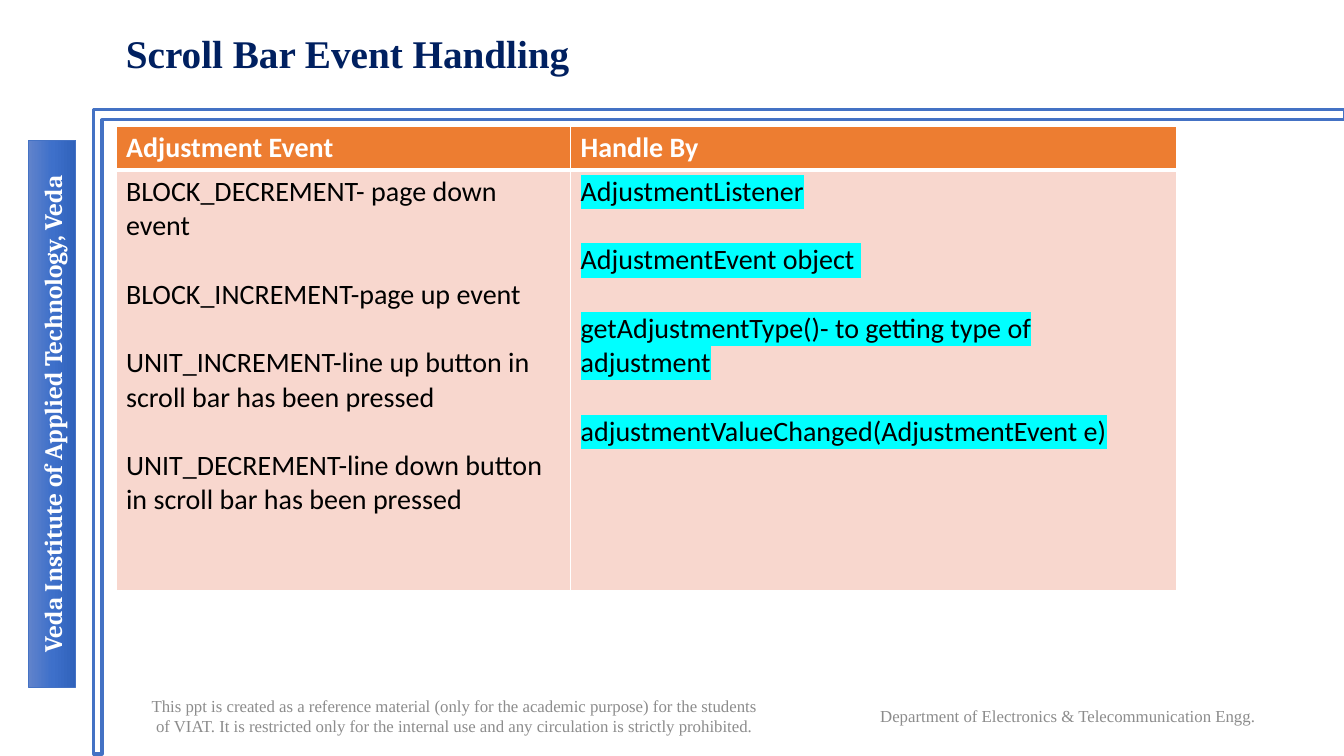
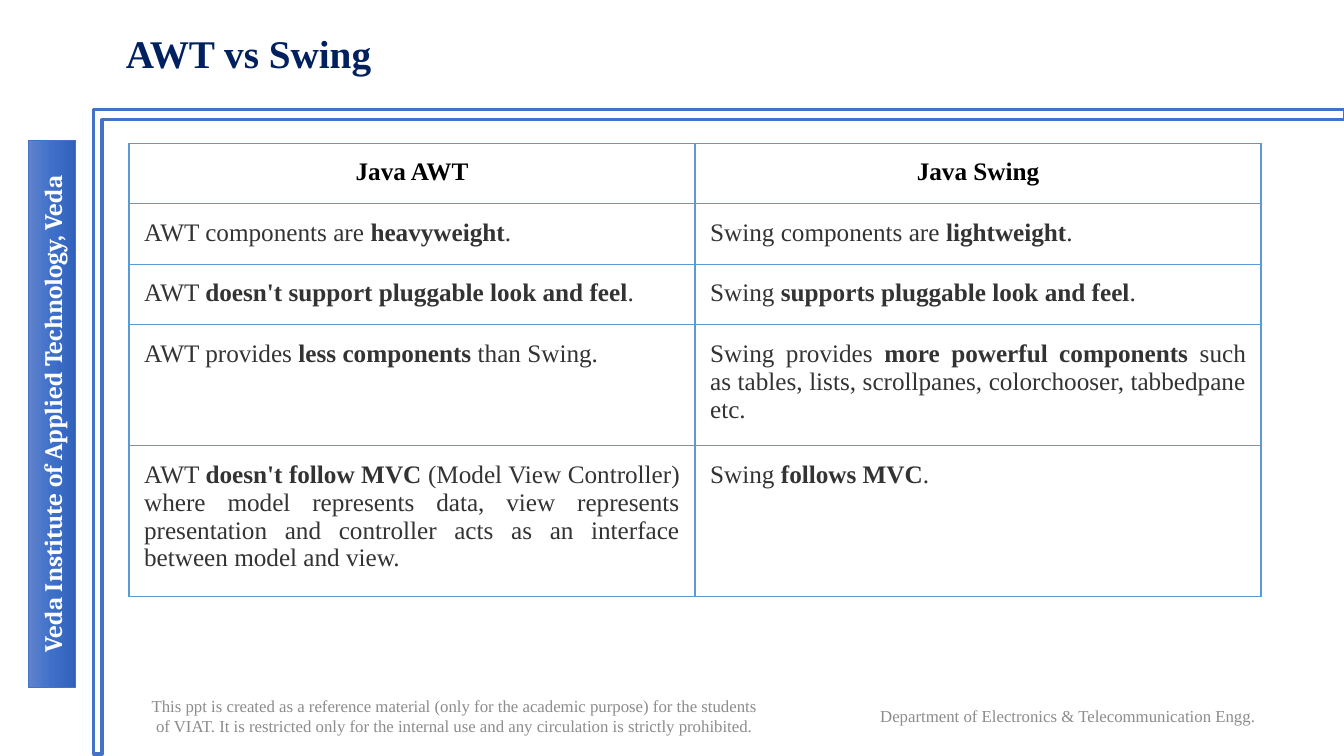
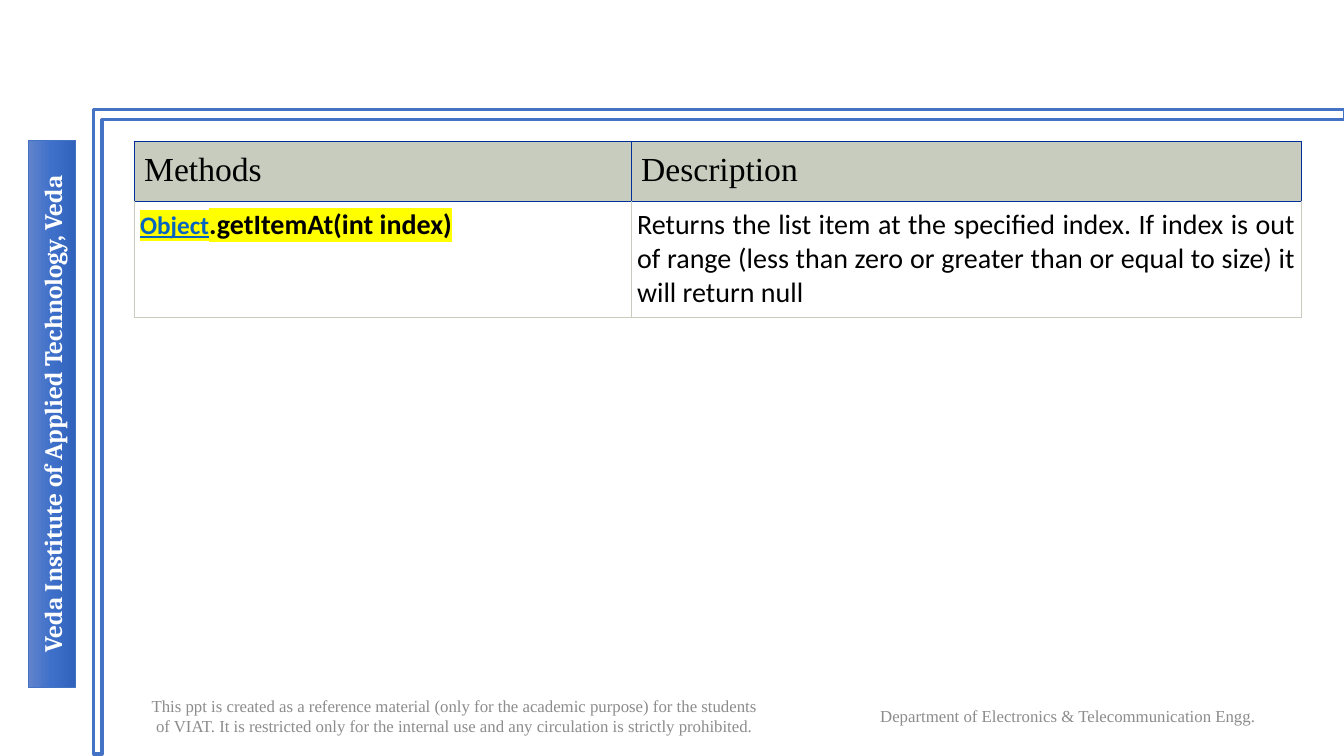
from copy import deepcopy
from dataclasses import dataclass, field
from typing import Any

from lxml.etree import SubElement
from pptx import Presentation
from pptx.dml.color import RGBColor as Rgb
from pptx.enum.shapes import MSO_SHAPE as Preset
from pptx.enum.text import MSO_ANCHOR as Anchor, PP_ALIGN as Align
from pptx.oxml.ns import qn
from pptx.util import Inches, Pt

WIDTH, HEIGHT = Inches(13.33), Inches(7.5)
COLOURS = {
    "white": "FFFFFF", "black": "000000", "blue": "4472C4", "navy": "002060",
    "bar_light": "6183CB", "bar_middle": "3E70CA", "bar_dark": "3062BB",
    "footer": "8C8C8C", "orange": "ED7D31", "peach": "F8D7CE", "cyan": "00FFFF",
    "sky": "5B9BD5", "charcoal": "333333", "royal": "002F98", "sage": "C7CCBE",
    "link": "0563C1", "yellow": "FFFF00",
}
SERIF, SANS = "Times New Roman", "Calibri"
SIDES = ("lnL", "lnR", "lnT", "lnB")
Format = dict[str, Any]


@dataclass(frozen=True)
class Box:
    """Left, top, width and height in percent of the slide."""
    left: float
    top: float
    width: float
    height: float

    def frame(self, turned: bool = False) -> tuple[int, int, int, int]:
        left, width = (int(WIDTH * share / 100) for share in (self.left, self.width))
        top, height = (int(HEIGHT * share / 100) for share in (self.top, self.height))
        if turned:
            shift = (width - height) // 2
            return left + shift, top - shift, height, width
        return left, top, width, height


@dataclass(frozen=True)
class Span:
    text: str
    style: Format = field(default_factory=dict)


@dataclass(frozen=True)
class Label:
    box: Box
    text: str
    font: Format
    layout: Format


@dataclass(frozen=True)
class RowStyle:
    font: Format
    borders: tuple[tuple[str, float], ...]
    fill: str | None = None
    layout: Format = field(default_factory=dict)
    margins: tuple[float, float] = (0.1, 0.05)
    gap: float = 0


@dataclass(frozen=True)
class Row:
    height: float
    style: RowStyle
    cells: tuple[list[list[Span]], ...]


@dataclass(frozen=True)
class Grid:
    left: float
    top: float
    width: float
    first_column: float
    rows: list[Row]


@dataclass(frozen=True)
class Page:
    title: str | None
    grid: Grid


def colour(name: str) -> Rgb:
    return Rgb.from_string(COLOURS[name])


def assign(target: Any, values: Format) -> None:
    for name, value in values.items():
        setattr(target, name, value)


def write(para: Any, spans: list[Span], base: Format, layout: Format) -> None:
    assign(para, layout)
    for span in spans:
        style = base | span.style
        ink, marker = style.pop("ink"), style.pop("marker", None)
        run = para.add_run()
        run.text = span.text
        assign(run.font, style)
        run.font.color.rgb = colour(ink)
        if marker:
            solid = run.font.fill._xPr.find(qn("a:solidFill"))
            highlight = deepcopy(solid)
            highlight.tag = qn("a:highlight")
            highlight[0].set("val", COLOURS[marker])
            solid.addnext(highlight)


def add_label(page: Any, label: Label) -> None:
    text = page.shapes.add_textbox(*label.box.frame()).text_frame
    assign(text, {"word_wrap": True, "vertical_anchor": Anchor.MIDDLE})
    write(text.paragraphs[0], [Span(label.text)], label.font, label.layout)


def add_turned(page: Any, preset: Preset, box: Box, angle: int, line: float) -> Any:
    shape = page.shapes.add_shape(preset, *box.frame(turned=True))
    shape.rotation = angle
    shape.shadow.inherit = False
    shape.line.color.rgb = colour("blue")
    shape.line.width = Pt(line)
    return shape


def add_rails(page: Any) -> None:
    box = Box(6.98, 14.53, 93.08, 85.2)
    rails = add_turned(page, Preset.CORNER, box, 90, 2.25)
    rails.fill.solid()
    rails.fill.fore_color.rgb = colour("white")
    short_side = box.frame()[3]
    for index, thickness in enumerate((0.08, 0.1)):
        rails.adjustments[index] = Inches(thickness) / short_side


def add_side_bar(page: Any) -> None:
    bar = add_turned(page, Preset.RECTANGLE, Box(2.1, 18.53, 3.53, 72.4), 270, 0.5)
    bar.fill.gradient()
    bar.fill.gradient_angle = 270
    first = bar.fill.gradient_stops[0]._gs
    first.addnext(deepcopy(first))
    names = ("bar_light", "bar_middle", "bar_dark")
    for index, (stop, name) in enumerate(zip(bar.fill.gradient_stops, names)):
        stop.position = index / 2
        stop.color.rgb = colour(name)
    text = bar.text_frame
    text.vertical_anchor = Anchor.MIDDLE
    font = {"size": Pt(18), "name": "Cambria", "bold": True, "ink": "white"}
    write(text.paragraphs[0], [Span("Veda Institute of Applied Technology, Veda")],
          font, CENTRED)


def add_borders(cell: Any, borders: tuple[tuple[str, float], ...]) -> None:
    properties = cell._tc.get_or_add_tcPr()
    for side, (name, width) in zip(SIDES, borders):
        line = SubElement(properties, qn(f"a:{side}"), w=str(int(Pt(width))))
        solid = SubElement(line, qn("a:solidFill"))
        SubElement(solid, qn("a:srgbClr"), val=COLOURS[name])


def fill_cell(cell: Any, paras: list[list[Span]], style: RowStyle) -> None:
    across, down = (Inches(margin) for margin in style.margins)
    assign(cell, {"margin_left": across, "margin_right": across,
                  "margin_top": down, "margin_bottom": down})
    add_borders(cell, style.borders)
    if style.fill:
        cell.fill.solid()
        cell.fill.fore_color.rgb = colour(style.fill)
    else:
        cell.fill.background()
    text = cell.text_frame
    for index, spans in enumerate(paras):
        para = text.add_paragraph() if index else text.paragraphs[0]
        layout = style.layout | ({"space_before": Pt(style.gap)} if index else {})
        write(para, spans, style.font, layout)


def add_grid(page: Any, grid: Grid) -> None:
    total = sum(row.height for row in grid.rows)
    box = Box(grid.left, grid.top, grid.width, total)
    table = page.shapes.add_table(len(grid.rows), 2, *box.frame()).table
    assign(table, {"first_row": False, "horz_banding": False})
    for column, share in zip(table.columns, (grid.first_column, 100 - grid.first_column)):
        column.width = int(box.frame()[2] * share / 100)
    for index, row in enumerate(grid.rows):
        table.rows[index].height = int(HEIGHT * row.height / 100)
        for column, paras in enumerate(row.cells):
            fill_cell(table.cell(index, column), paras, row.style)


def plain(*texts: str) -> list[list[Span]]:
    return [[Span(text)] for text in texts]


def marked(text: str) -> list[list[Span]]:
    return [[Span(part, {"bold": index % 2 == 1})
             for index, part in enumerate(text.split("*"))]]


TITLE_BOX = Box(8.63, 3.2, 84.23, 8.27)
TITLE_FONT = {"size": Pt(28), "name": SERIF, "bold": True, "ink": "navy"}
FOOTER_FONT = {"size": Pt(12), "name": SERIF, "ink": "footer"}
CENTRED, JUSTIFIED = {"alignment": Align.CENTER}, {"alignment": Align.JUSTIFY}
FOOTERS = [
    Label(Box(9.98, 90.93, 47.7, 7.6),
          "This ppt is created as a reference material (only for the academic purpose) "
          "for the students of VIAT. It is restricted only for the internal use and any "
          "circulation is strictly prohibited.", FOOTER_FONT, CENTRED),
    Label(Box(60.75, 92.27, 37.73, 4.8),
          "Department of Electronics & Telecommunication Engg. ", FOOTER_FONT, CENTRED),
]

THIN, THICK = ("white", 1), ("white", 3)
EVENT_FONT = {"size": Pt(20), "name": SANS, "bold": False, "ink": "black"}
EVENT_HEAD = RowStyle(EVENT_FONT | {"bold": True, "ink": "white"},
                      (THIN, THIN, THIN, THICK), "orange")
EVENT_BODY = RowStyle(EVENT_FONT, (THIN, THIN, THICK, THIN), "peach", gap=24.4)
HANDLERS = ("AdjustmentListener", "AdjustmentEvent object ",
            "getAdjustmentType()- to getting type of adjustment",
            "adjustmentValueChanged(AdjustmentEvent e)")
EVENTS = Grid(8.63, 16.67, 78.9, 42.87, [
    Row(5.73, EVENT_HEAD, (plain("Adjustment Event"), plain("Handle By"))),
    Row(55.73, EVENT_BODY, (
        plain("BLOCK_DECREMENT- page down event", "BLOCK_INCREMENT-page up event",
              "UNIT_INCREMENT-line up button in scroll bar has been pressed",
              "UNIT_DECREMENT-line down button in scroll bar has been pressed"),
        [[Span(text, {"marker": "cyan"})] for text in HANDLERS])),
])

VERSUS_FONT = {"size": Pt(18), "name": SERIF, "ink": "charcoal"}
VERSUS_LINES = (("sky", 1),) * 4
VERSUS_HEAD = RowStyle(VERSUS_FONT | {"bold": True, "ink": "black"}, VERSUS_LINES,
                       layout=CENTRED, margins=(0.15, 0.15))
VERSUS_BODY = RowStyle(VERSUS_FONT, VERSUS_LINES, layout=JUSTIFIED, margins=(0.15, 0.15))
COMPARISONS = [
    (7.73, "AWT components are *heavyweight*.", "Swing components are *lightweight*."),
    (7.73, "AWT *doesn't support pluggable look and feel*.",
     "Swing *supports pluggable look and feel*."),
    (15.07, "AWT provides *less components* than Swing.",
     "Swing provides *more powerful components* such as tables, lists, scrollpanes, "
     "colorchooser, tabbedpane etc."),
    (18.8, "AWT *doesn't follow MVC *(Model View Controller) where model represents data, "
     "view represents presentation and controller acts as an interface between model "
     "and view.", "Swing *follows MVC*."),
]
VERSUS = Grid(9.6, 18.93, 84.23, 50, [
    Row(7.73, VERSUS_HEAD, (plain("Java AWT"), plain("Java Swing"))),
    *(Row(height, VERSUS_BODY, (marked(awt), marked(swing)))
      for height, awt, swing in COMPARISONS),
])

ROYAL, SAGE = ("royal", 0.75), ("sage", 0.75)
METHOD_HEAD = RowStyle({"size": Pt(24), "name": SERIF, "ink": "black"}, (ROYAL,) * 4,
                       "sage", margins=(0.1, 0.1))
METHOD_BODY = RowStyle(EVENT_FONT, (SAGE, SAGE, ROYAL, SAGE), "white", JUSTIFIED,
                       (0.06, 0.06))
MARKED_BOLD = {"bold": True, "marker": "yellow"}
METHODS = Grid(9.98, 18.67, 86.85, 42.57, [
    Row(7.87, METHOD_HEAD, (plain("Methods"), plain("Description"))),
    Row(15.33, METHOD_BODY, (
        [[Span("Object", MARKED_BOLD | {"size": Pt(18), "ink": "link", "underline": True}),
          Span(".getItemAt(int index)", MARKED_BOLD)]],
        plain("Returns the list item at the specified index. If index is out of range "
              "(less than zero or greater than or equal to size) it will return null"))),
])

PAGES = [Page("Scroll Bar Event Handling", EVENTS), Page("AWT vs Swing", VERSUS),
         Page(None, METHODS)]


def main() -> None:
    deck = Presentation()
    assign(deck, {"slide_width": WIDTH, "slide_height": HEIGHT})
    for content in PAGES:
        page = deck.slides.add_slide(deck.slide_layouts[6])
        add_rails(page)
        add_side_bar(page)
        for footer in FOOTERS:
            add_label(page, footer)
        if content.title:
            add_label(page, Label(TITLE_BOX, content.title, TITLE_FONT,
                                  {"line_spacing": 0.9}))
        add_grid(page, content.grid)
    deck.save("out.pptx")


if __name__ == "__main__":
    main()
